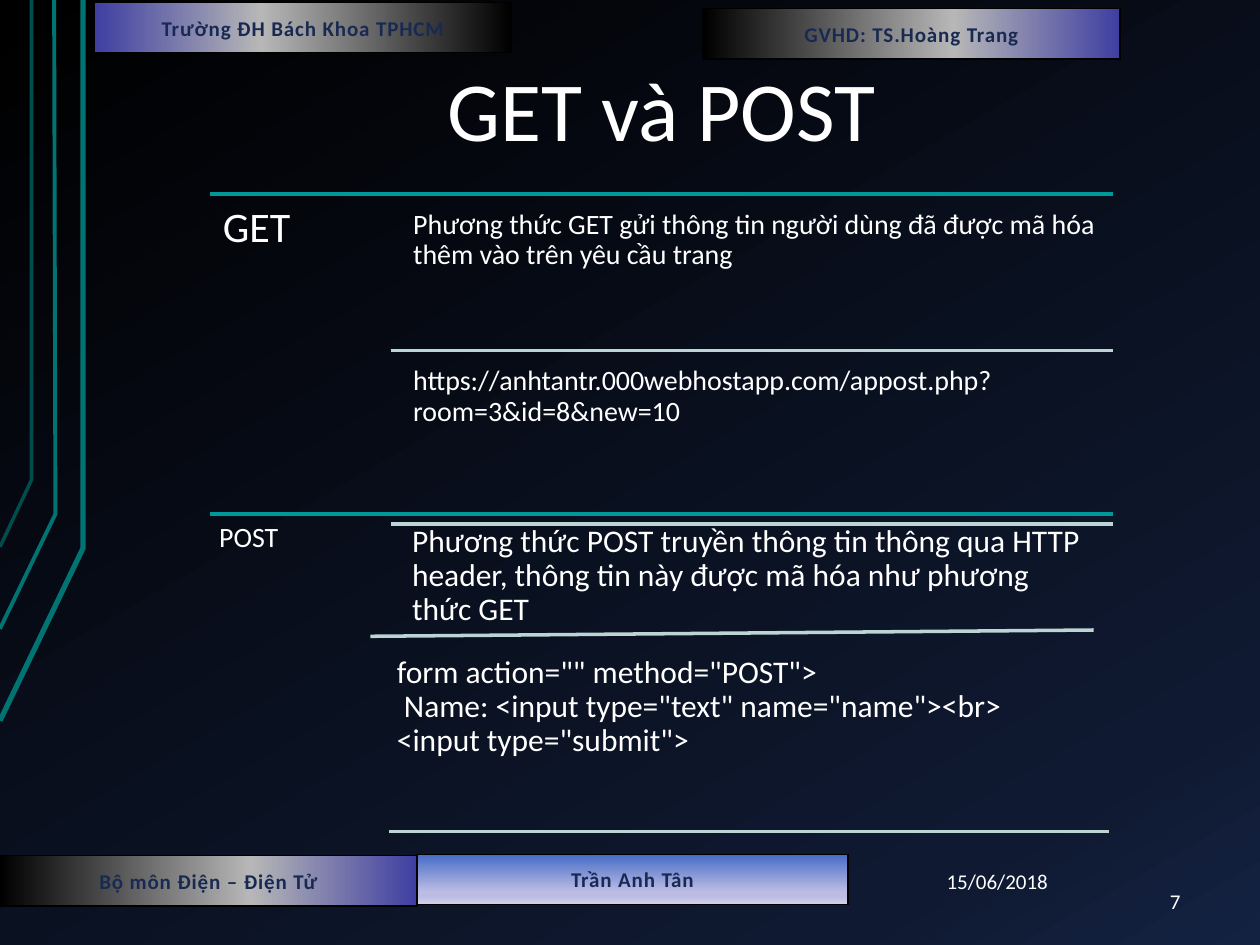
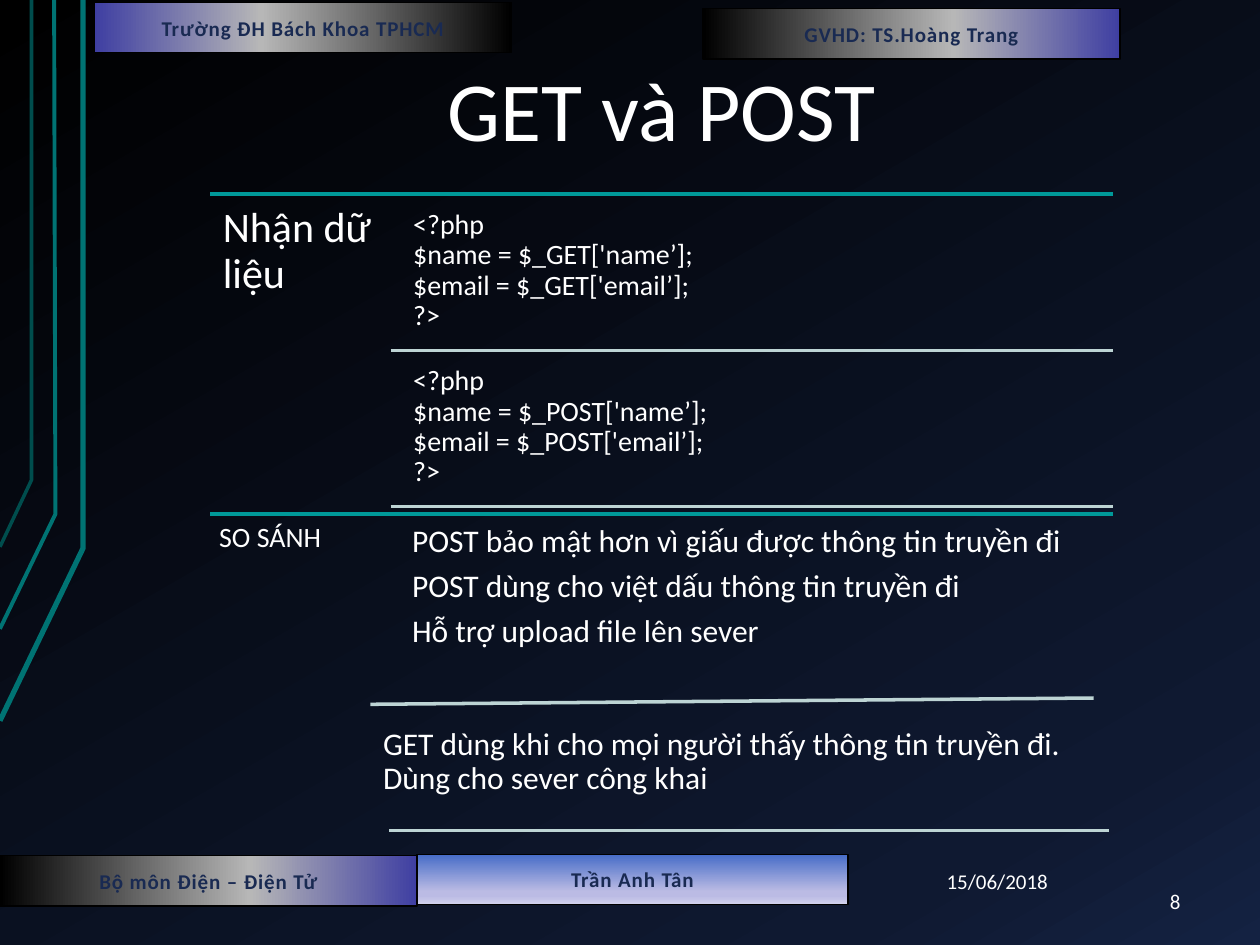
from collections import namedtuple

from lxml import etree
from pptx import Presentation
from pptx.dml.color import RGBColor
from pptx.enum.shapes import MSO_CONNECTOR, MSO_SHAPE
from pptx.enum.text import MSO_ANCHOR as ANCHOR, PP_ALIGN as ALIGN
from pptx.oxml.ns import qn
from pptx.util import Inches, Pt

Box = namedtuple("Box", "left top width height")
Detail = namedtuple("Detail", "box size paragraphs")
Divider = namedtuple("Divider", "left start_y right end_y")

FONT = "Calibri"
WHITE, BLACK, NAVY = "FFFFFF", "000000", "192A52"
TEAL, DARK_TEAL, DIM_TEAL, PALE = "009999", "007373", "004D4D", "BDD4D4"
NIGHT = [(0, BLACK), (85, "0F1931"), (100, "142242")]
METAL = [(0, "3F3FA2"), (40, "B7B7B7"), (100, BLACK)]
SKY = [(0, "466CC7"), (74, "BBBBE4"), (83, "BBBBE4"), (100, "D2D2ED")]

# Bands: text, box, gradient stops, gradient angle
BANDS = [
    ("Trần Anh Tân", Box(3.31, 6.78, 3.42, 0.4), SKY, 90),
    ("Bộ môn Điện – Điện Tử", Box(0, 6.79, 3.31, 0.4), METAL, 180),
    ("Trường ĐH Bách Khoa TPHCM", Box(0.75, 0.02, 3.31, 0.4), METAL, 0),
    ("GVHD: TS.Hoàng Trang", Box(5.58, 0.07, 3.31, 0.4), METAL, 180),
]
# Circuit traces: points, colour, line width
TRACES = [
    ([(0, 5.72), (0.66, 4.35), (0.66, 0)], DARK_TEAL, 3),
    ([(0, 4.99), (0.44, 4.08), (0.43, 0)], DARK_TEAL, 2.25),
    ([(0, 4.34), (0.25, 3.81), (0.25, 0)], DIM_TEAL, 2),
]
UPPER = Box(1.67, 1.54, 7.16, 2.54)
LOWER = UPPER._replace(top=UPPER.top + UPPER.height)
LABEL_WIDTH = 1.43


def color(value):
    return RGBColor.from_string(value)


def inches(box):
    return [Inches(value) for value in box]


def paint_gradient(fill, holder, stops, angle):
    """Fill with the given stops; holder is the XML that contains the fill."""
    fill.gradient()
    gradient = next(holder.iter(qn("a:gradFill")))
    for child in list(gradient):
        gradient.remove(child)
    stop_list = etree.SubElement(gradient, qn("a:gsLst"))
    for position, value in stops:
        stop = etree.SubElement(stop_list, qn("a:gs"), pos=str(position * 1000))
        etree.SubElement(stop, qn("a:srgbClr"), val=value)
    etree.SubElement(gradient, qn("a:lin"), ang=str(angle * 60000), scaled="0")


def write(shape, paragraphs, size, text_color=WHITE, bold=False, align=ALIGN.LEFT,
          anchor=ANCHOR.TOP, inset=(0.13, 0.07), line_spacing=None, space_after=None):
    frame = shape.text_frame
    frame.word_wrap = True
    frame.vertical_anchor = anchor
    frame.margin_left = frame.margin_right = Inches(inset[0])
    frame.margin_top = frame.margin_bottom = Inches(inset[1])
    for index, text in enumerate(paragraphs):
        paragraph = frame.add_paragraph() if index else frame.paragraphs[0]
        paragraph.text = text
        paragraph.alignment = align
        paragraph.line_spacing = line_spacing
        paragraph.space_after = space_after
        font = paragraph.font
        font.name, font.size, font.bold = FONT, Pt(size), bold
        font.color.rgb = color(text_color)


def add_text(slide, box, paragraphs, size, **options):
    write(slide.shapes.add_textbox(*inches(box)), paragraphs, size, **options)


def add_body(slide, box, paragraphs, size, margin=0.07):
    add_text(slide, box, paragraphs, size, inset=(margin, margin),
             line_spacing=0.9, space_after=Pt(0.35 * size))


def add_rule(slide, divider, line_color):
    rule = slide.shapes.add_connector(MSO_CONNECTOR.STRAIGHT, *inches(divider_ends(divider)))
    rule.line.color.rgb = color(line_color)
    rule.line.width = Pt(2)
    etree.SubElement(rule._element.spPr, qn("a:effectLst"))


def divider_ends(divider):
    return divider.left, divider.start_y, divider.right, divider.end_y


def add_trace(slide, points, line_color, width):
    (start_x, start_y), *others = [inches(point) for point in points]
    builder = slide.shapes.build_freeform(start_x, start_y)
    builder.add_line_segments(others, close=False)
    trace = builder.convert_to_shape()
    trace.shadow.inherit = False
    trace.fill.background()
    trace.line.color.rgb = color(line_color)
    trace.line.width = Pt(width)


def add_band(slide, text, box, stops, angle):
    band = slide.shapes.add_shape(MSO_SHAPE.RECTANGLE, *inches(box))
    band.shadow.inherit = False
    paint_gradient(band.fill, band._element.spPr, stops, angle)
    band.line.color.rgb = color(BLACK)
    band.line.width = Pt(0.75)
    write(band, [text], 12, NAVY, True, ALIGN.CENTER, ANCHOR.MIDDLE)
    # Letter spacing in hundredths of a point
    band.text_frame.paragraphs[0].runs[0]._r.get_or_add_rPr().set("spc", "50")


def add_frame(slide, number):
    """Background, traces, title, bands and footer shared by the slides."""
    paint_gradient(slide.background.fill, slide._element, NIGHT, 60)
    for trace in TRACES:
        add_trace(slide, *trace)
    add_text(slide, Box(1, 0.3, 8.5, 1.03), ["GET và POST"], 48,
             align=ALIGN.CENTER, anchor=ANCHOR.BOTTOM)
    add_text(slide, Box(6.75, 6.79, 2.33, 0.4), ["15/06/2018"], 12,
             align=ALIGN.CENTER, anchor=ANCHOR.MIDDLE)
    add_text(slide, Box(8.67, 6.95, 0.83, 0.4), [str(number)], 12,
             align=ALIGN.RIGHT, anchor=ANCHOR.MIDDLE)
    for band in BANDS:
        add_band(slide, *band)


def add_section(slide, box, label, label_size, label_margin, details, dividers):
    """Label on the left, details on the right; offsets are relative to box."""
    add_rule(slide, Divider(box.left, box.top, box.left + box.width, box.top), TEAL)
    add_body(slide, box._replace(width=LABEL_WIDTH), [label], label_size, label_margin)
    for detail in details:
        place = detail.box._replace(left=box.left + detail.box.left,
                                    top=box.top + detail.box.top)
        add_body(slide, place, detail.paragraphs, detail.size)
    for divider in dividers:
        add_rule(slide, Divider(box.left + divider.left, box.top + divider.start_y,
                                box.left + divider.right, box.top + divider.end_y), PALE)


def add_content(slide, content):
    upper_details = [Detail(Box(1.54, 0.06 + 1.24 * row, 5.63, 1.18), 16, [text])
                     for row, text in enumerate(content["upper"])]
    upper_dividers = [Divider(LABEL_WIDTH, y, UPPER.width, y)
                      for y in (1.24, content["upper_end"])]
    add_section(slide, UPPER, content["labels"][0], 24, 0.1, upper_details, upper_dividers)

    slope_y, end_y = content["slope_y"], content["lower_end"]
    lower_dividers = [Divider(1.27, slope_y, 7.01, slope_y - 0.05),
                      Divider(1.42, end_y, 7.13, end_y)]
    add_section(slide, LOWER, content["labels"][1], 16, 0.07, content["lower"], lower_dividers)


def php_reader(method):
    return f"<?php\n$name = $_{method}['name’];\n$email = $_{method}['email’];\n?>"


METHODS = {
    "labels": ("GET", "POST"),
    "upper": [
        "Phương thức GET gửi thông tin người dùng đã được mã hóa thêm vào trên yêu cầu trang",
        "https://anhtantr.000webhostapp.com/appost.php?room=3&id=8&new=10",
    ],
    "upper_end": 2.62,
    "lower": [
        Detail(Box(1.53, 0.02, 5.51, 1.37), 18, [
            "Phương thức POST truyền thông tin thông qua HTTP header, "
            "thông tin này được mã hóa như phương thức GET"]),
        Detail(Box(1.41, 1.06, 5.6, 1.07), 18, [
            'form action="" method="POST">\n'
            ' Name: <input type="text" name="name"><br>\n'
            '<input type="submit">']),
    ],
    "slope_y": 0.97,
    "lower_end": 2.52,
}
COMPARISON = {
    "labels": ("Nhận dữ liệu", "SO SÁNH"),
    "upper": [php_reader("GET"), php_reader("POST")],
    "upper_end": 2.48,
    "lower": [
        Detail(Box(1.53, 0.02, 5.51, 1.96), 18, [
            "POST bảo mật hơn vì giấu được thông tin truyền đi",
            "POST dùng cho việt dấu thông tin truyền đi",
            "Hỗ trợ upload file lên sever"]),
        Detail(Box(1.3, 1.63, 5.6, 0.46), 18, [
            "GET dùng khi cho mọi người thấy thông tin truyền đi.\n"
            "Dùng cho sever công khai"]),
    ],
    "slope_y": 1.51,
    "lower_end": 2.51,
}


def main():
    presentation = Presentation()
    presentation.slide_width, presentation.slide_height = Inches(10), Inches(7.5)
    for number, content in enumerate((METHODS, COMPARISON), start=7):
        slide = presentation.slides.add_slide(presentation.slide_layouts[6])
        add_frame(slide, number)
        add_content(slide, content)
    presentation.save("out.pptx")


if __name__ == "__main__":
    main()
